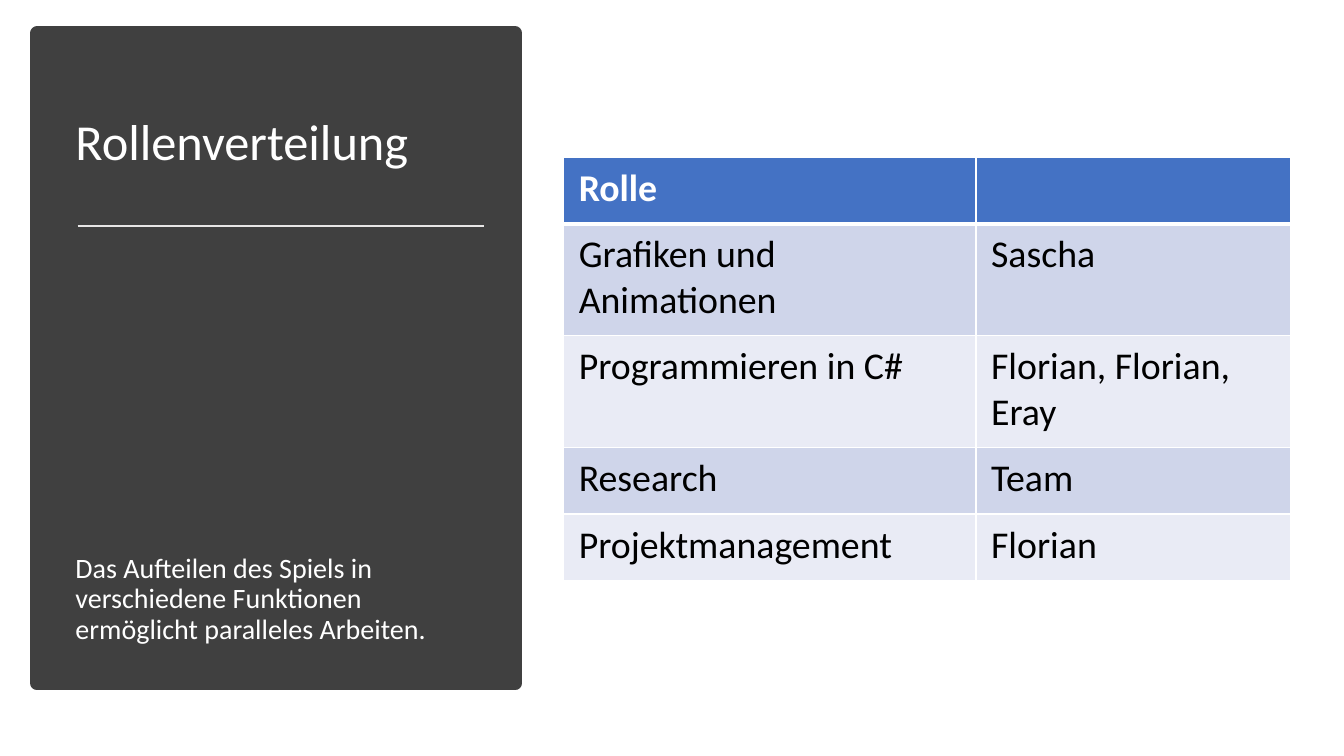
import pptx
import pptx.util
import pptx.dml.color
import pptx.enum.shapes
import pptx.enum.text
import pptx.oxml
import pptx.oxml.ns

PX = 9144  # EMU per px, 100 px to the inch
FONT = "Calibri"
COLORS = {
    "panel": "404040",
    "rule": "E7E6E6",
    "head": "4472C4",
    "dark": "CFD5EA",
    "light": "E9EBF5",
    "white": "FFFFFF",
    "black": "000000",
}
ANCHOR = pptx.enum.text.MSO_ANCHOR


def rgb(name):
    return pptx.dml.color.RGBColor.from_string(COLORS[name])


def write(frame, text, size, color="white", bold=False, space=1.0):
    """Put one formatted paragraph into a text frame."""
    frame.word_wrap = True
    para = frame.paragraphs[0]
    para.line_spacing = space
    run = para.add_run()
    run.text = text
    run.font.name = FONT
    run.font.size = pptx.util.Pt(size)
    run.font.bold = bold
    run.font.color.rgb = rgb(color)


deck = pptx.Presentation()
deck.slide_width, deck.slide_height = 1333 * PX, 750 * PX
slide = deck.slides.add_slide(deck.slide_layouts[6])
shapes = slide.shapes

# Dark panel
panel = shapes.add_shape(pptx.enum.shapes.MSO_SHAPE.RECTANGLE,
                         37 * PX, 33 * PX, 474 * PX, 645 * PX)
panel.shadow.inherit = False
panel.fill.solid()
panel.fill.fore_color.rgb = rgb("panel")
panel.line.color.rgb = rgb("panel")
panel.line.width = pptx.util.Pt(10)

# Title and note
notes = [
    ("Rollenverteilung", 70, 147, 36, ANCHOR.MIDDLE),
    ("Das Aufteilen des Spiels in verschiedene Funktionen "
     "ermöglicht paralleles Arbeiten.", 232, 413, 20, ANCHOR.BOTTOM),
]
for text, top, height, size, anchor in notes:
    frame = shapes.add_textbox(65 * PX, top * PX, 418 * PX, height * PX).text_frame
    frame.vertical_anchor = anchor
    write(frame, text, size, space=0.9)

# Rule under the title
rule = shapes.add_connector(pptx.enum.shapes.MSO_CONNECTOR.STRAIGHT,
                            77 * PX, 224 * PX, 480 * PX, 224 * PX)
rule.line.color.rgb = rgb("rule")
rule.line.width = pptx.util.Pt(1.75)
rule._element.spPr.append(pptx.oxml.parse_xml(
    f"<a:effectLst {pptx.oxml.ns.nsdecls('a')}/>"))

# Table of roles
roles = [
    ("Rolle", ""),
    ("Grafiken und Animationen", "Sascha"),
    ("Programmieren in C#", "Florian, Florian, Eray"),
    ("Research", "Team"),
    ("Projektmanagement", "Florian"),
]
widths = [409, 312]
heights = [66, 111, 111, 66, 66]
table = shapes.add_table(len(roles), len(widths), 559 * PX, 156 * PX,
                         sum(widths) * PX, sum(heights) * PX).table
for col, width in zip(table.columns, widths):
    col.width = width * PX
for row, height in zip(table.rows, heights):
    row.height = height * PX

for r, names in enumerate(roles):
    head = r == 0
    tint = "head" if head else ("light", "dark")[r % 2]
    for c, name in enumerate(names):
        cell = table.cell(r, c)
        cell.margin_left = cell.margin_right = 15 * PX
        cell.margin_top = cell.margin_bottom = 8 * PX
        cell.fill.solid()
        cell.fill.fore_color.rgb = rgb(tint)
        if name:
            write(cell.text_frame, name, 27, "white" if head else "black", head)
        # Borders come before the fill in the cell properties
        for i, side in enumerate("LRTB"):
            thick = (head and side == "B") or (r == 1 and side == "T")
            width = pptx.util.Pt(3 if thick else 1)
            cell._tc.tcPr.insert(i, pptx.oxml.parse_xml(
                f"<a:ln{side} {pptx.oxml.ns.nsdecls('a')} w='{width}'><a:solidFill>"
                f"<a:srgbClr val='{COLORS['white']}'/></a:solidFill></a:ln{side}>"))

deck.save("out.pptx")
